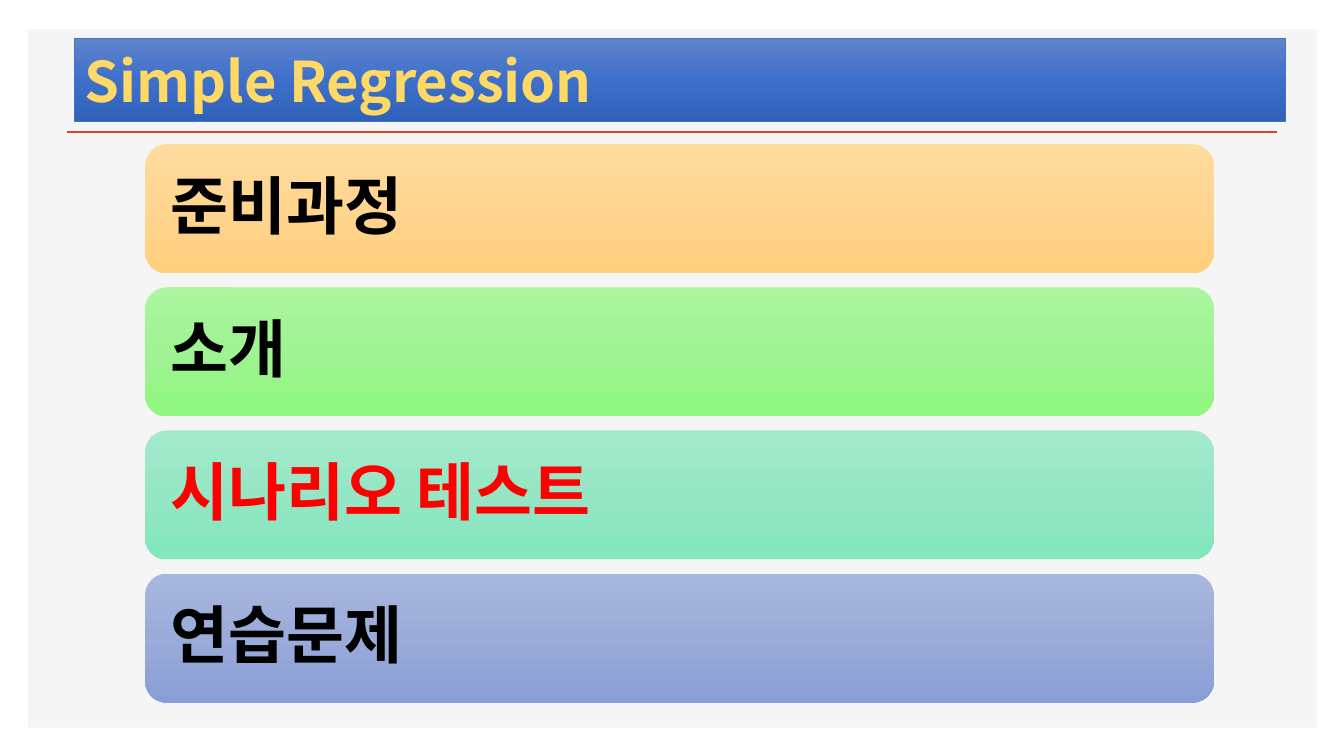
import copy

import pptx
import pptx.util
import pptx.dml.color
import pptx.enum.shapes
import pptx.enum.text
import pptx.oxml
import pptx.oxml.ns

Inches = pptx.util.Inches
Shape = pptx.enum.shapes.MSO_SHAPE
FONT = "Noto Sans CJK KR"
CARDS = [
    ("준비과정", "000000", ("FFDB9E", "FFD590", "FFD07C")),
    ("소개", "000000", ("ACF6A0", "9FF392", "8EF77D")),
    ("시나리오 테스트", "FF0000", ("A3EACC", "95E6C4", "81E7BD")),
    ("연습문제", "000000", ("A8B7DF", "9AABD9", "889ED7")),
]


def rgb(code):
    return pptx.dml.color.RGBColor.from_string(code)


def blend(shape, colors):
    """Fill from top to bottom with three evenly spaced colours."""
    fill = shape.fill
    fill.gradient()
    fill.gradient_angle = 270
    stops = shape.element.find(".//" + pptx.oxml.ns.qn("a:gsLst"))
    stops.insert(1, copy.deepcopy(stops[0]))
    for i, (stop, color) in enumerate(zip(fill.gradient_stops, colors)):
        stop.position = i / 2
        stop.color.rgb = rgb(color)


def write(shape, text, size=45, color="000000", bold=True, inset=0.1, space=1.0):
    frame = shape.text_frame
    frame.word_wrap = True
    frame.auto_size = pptx.enum.text.MSO_AUTO_SIZE.NONE
    frame.vertical_anchor = pptx.enum.text.MSO_ANCHOR.MIDDLE
    frame.margin_left = frame.margin_right = Inches(inset)
    frame.margin_top = frame.margin_bottom = Inches(inset / 2)
    para = frame.paragraphs[0]
    para.alignment = pptx.enum.text.PP_ALIGN.LEFT
    para.line_spacing = space
    run = para.add_run()
    run.text = text
    font = run.font
    font.name, font.size, font.bold = FONT, pptx.util.Pt(size), bold
    font.color.rgb = rgb(color)
    asian = pptx.oxml.parse_xml(
        f'<a:ea {pptx.oxml.ns.nsdecls("a")} typeface="{FONT}"/>')
    run.font.element.append(asian) if hasattr(font, "element") else \
        run._r.get_or_add_rPr().append(asian)


def box(slide, kind, left, top, width, height):
    shape = slide.shapes.add_shape(
        kind, Inches(left), Inches(top), Inches(width), Inches(height))
    shape.shadow.inherit = False
    shape.line.fill.background()
    return shape


def panel(slide):
    shape = box(slide, Shape.RECTANGLE, 0.28, 0.29, 12.78, 6.93)
    shape.fill.solid()
    shape.fill.fore_color.rgb = rgb("F5F5F5")


def rule(slide):
    line = slide.shapes.add_connector(
        pptx.enum.shapes.MSO_CONNECTOR.STRAIGHT,
        Inches(0.66), Inches(1.31), Inches(12.67), Inches(1.31))
    line.line.color.rgb = rgb("D24726")
    line.line.width = pptx.util.Pt(2)
    line.element.spPr.append(pptx.oxml.parse_xml(
        f'<a:effectLst {pptx.oxml.ns.nsdecls("a")}/>'))


def head(slide, text):
    title = slide.shapes.title
    title.left, title.top = Inches(0.74), Inches(0.38)
    title.width, title.height = Inches(12.01), Inches(0.82)
    blend(title, ("6183CB", "3E70CA", "3062BB"))
    title.line.color.rgb = rgb("4472C4")
    title.line.width = pptx.util.Pt(0.5)
    write(title, text, size=40, color="FFD966")
    # Bring the title in front of the panel
    slide.shapes.element.append(title.element)


def card(slide, top, text, color, colors):
    shape = box(slide, Shape.ROUNDED_RECTANGLE, 1.44, top, 10.6, 1.28)
    blend(shape, colors)
    write(shape, text, color=color, inset=0.19, space=0.9)


def main():
    deck = pptx.Presentation()
    deck.slide_width, deck.slide_height = Inches(13.33), Inches(7.5)
    slide = deck.slides.add_slide(deck.slide_layouts[5])
    panel(slide)
    rule(slide)
    head(slide, "Simple Regression")
    for i, (text, color, colors) in enumerate(CARDS):
        card(slide, 1.43 + 1.42 * i, text, color, colors)
    deck.save("out.pptx")


if __name__ == "__main__":
    main()
